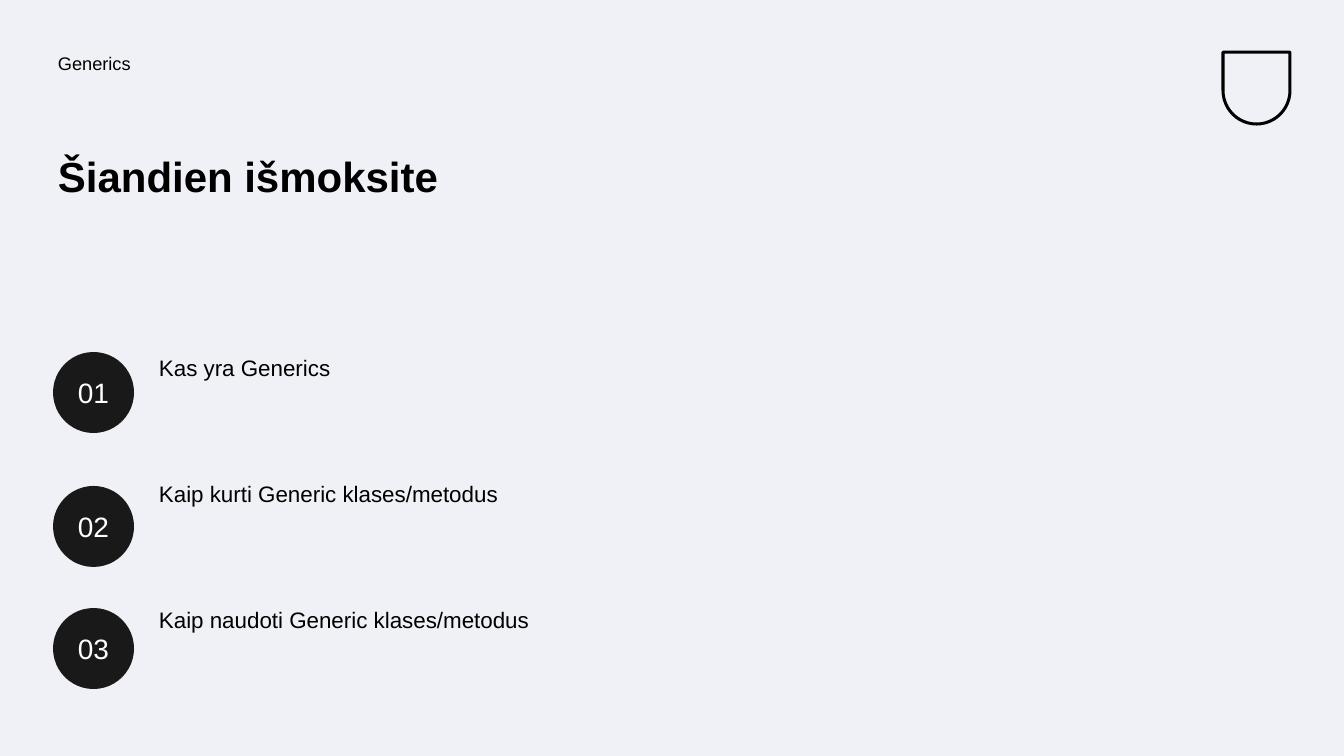
import pptx
import pptx.util
import pptx.dml.color
import pptx.enum.shapes
import pptx.enum.text

EMU_PER_PX = 914400 / 100.8


def px(length):
    return pptx.util.Emu(round(length * EMU_PER_PX))


def color(code):
    return pptx.dml.color.RGBColor.from_string(code)


class Lesson:
    font = "Arial"
    ink = "000000"
    badge_fill = "191919"
    badge_ink = "FEFFFF"
    backdrop = "F0F1F6"
    inset = 5

    def __init__(self, width, height):
        self.deck = pptx.Presentation()
        self.deck.slide_width = px(width)
        self.deck.slide_height = px(height)
        self.page = self.deck.slides.add_slide(self.deck.slide_layouts[6])
        self.page.background.fill.solid()
        self.page.background.fill.fore_color.rgb = color(self.backdrop)

    def set_words(self, box, words, size, ink, bold=False):
        frame = box.text_frame
        frame.word_wrap = True
        frame.margin_left = frame.margin_right = px(self.inset)
        frame.margin_top = frame.margin_bottom = px(self.inset)
        para = frame.paragraphs[0]
        para.text = words
        para.font.name = self.font
        para.font.size = pptx.util.Pt(size)
        para.font.bold = bold
        para.font.color.rgb = color(ink)
        return para

    def text(self, left, top, width, height, words, size, bold=False):
        box = self.page.shapes.add_textbox(px(left), px(top), px(width), px(height))
        para = self.set_words(box, words, size, self.ink, bold)
        para.line_spacing = 0.9

    def shape(self, kind, left, top, width, height):
        shape = self.page.shapes.add_shape(kind, px(left), px(top), px(width), px(height))
        shape.shadow.inherit = False
        return shape

    def badge(self, left, top, diameter, number):
        circle = self.shape(pptx.enum.shapes.MSO_SHAPE.OVAL, left, top, diameter, diameter)
        circle.fill.solid()
        circle.fill.fore_color.rgb = color(self.badge_fill)
        circle.line.fill.background()
        para = self.set_words(circle, f"{number:02}", 20, self.badge_ink)
        para.alignment = pptx.enum.text.PP_ALIGN.CENTER
        circle.text_frame.vertical_anchor = pptx.enum.text.MSO_ANCHOR.MIDDLE

    def shield(self, left, top, width, height):
        emblem = self.shape(
            pptx.enum.shapes.MSO_SHAPE.ROUND_2_SAME_RECTANGLE, left, top, width, height
        )
        emblem.adjustments[0] = 0.5
        emblem.rotation = 180
        emblem.fill.background()
        emblem.line.color.rgb = color(self.ink)
        emblem.line.width = px(3)


def main():
    lesson = Lesson(1344, 756)
    lesson.shield(1223, 52, 67, 72)
    lesson.text(53, 50, 619, 50, "Generics", 13)
    lesson.text(53, 151, 569, 150, "Šiandien išmoksite", 30, bold=True)

    topics = [
        ("Kas yra Generics", 352),
        ("Kaip kurti Generic klases/metodus", 486),
        ("Kaip naudoti Generic klases/metodus", 608),
    ]
    for index, (topic, badge_top) in enumerate(topics):
        lesson.text(154, 352 + 126 * index, 467, 100, topic, 16)
        lesson.badge(53, badge_top, 81, index + 1)

    lesson.deck.save("out.pptx")


if __name__ == "__main__":
    main()
